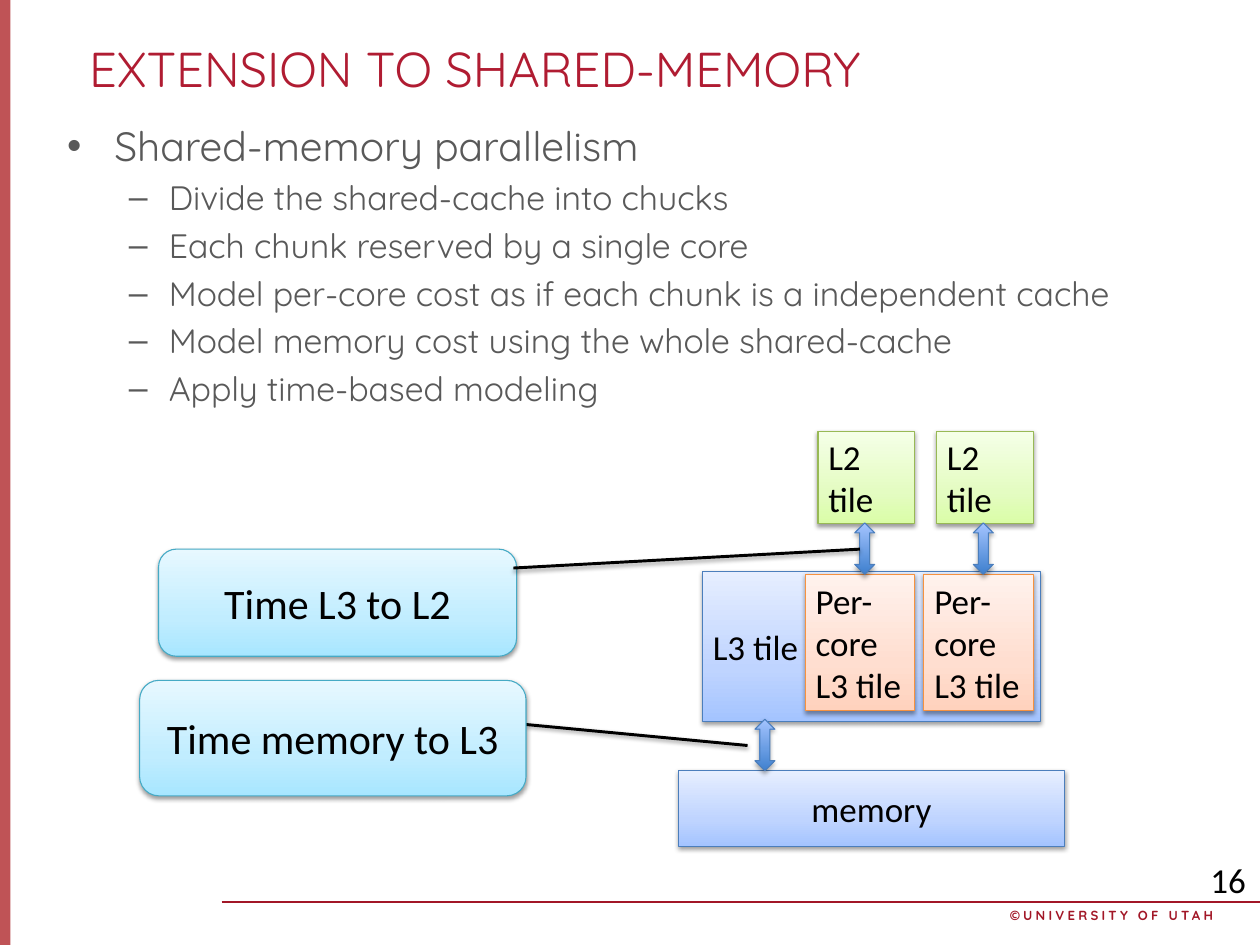
from lxml.etree import SubElement
from pptx import Presentation
from pptx.dml.color import RGBColor
from pptx.enum.shapes import MSO_CONNECTOR, MSO_SHAPE
from pptx.enum.text import MSO_ANCHOR, PP_ALIGN
from pptx.oxml.ns import qn
from pptx.util import Inches, Pt

BLUE = ("4B7EBC", [(0, "A4C4FF"), (35, "BFD4FF"), (100, "E6EEFF")])
ORANGE = ("F69240", [(0, "FFD2BD"), (35, "FFDED0"), (100, "FFF2ED")])
GREEN = ("98B955", [(0, "DAFDA7"), (35, "E4FCC2"), (100, "F5FFE7")])
CYAN = ("46AAC5", [(0, "A7E6FF"), (35, "C1EDFF"), (100, "E7F8FF")])
ARROW = ("4B7EBC", [(0, "3F80CE"), (100, "A4C4FF")])

SUB_POINTS = [
    "Divide the shared-cache into chucks",
    "Each chunk reserved by a single core",
    "Model per-core cost as if each chunk is a independent cache",
    "Model memory cost using the whole shared-cache",
    "Apply time-based modeling",
]


def rgb(value):
    return RGBColor.from_string(value)


def write(p, text, size=24, font="Calibri", color="000000", bold=False,
          align=PP_ALIGN.LEFT, spacing=None):
    p.alignment = align
    r = p.add_run()
    r.text = text
    r.font.size = Pt(size)
    r.font.name = font
    r.font.bold = bold
    r.font.color.rgb = rgb(color)
    if spacing:
        r.font._element.set("spc", str(round(spacing * 100)))


def add_shadow(sp, alpha=38, distance=1.6):
    spPr = sp._element.spPr
    effects = spPr.find(qn("a:effectLst"))
    if effects is None:
        effects = SubElement(spPr, qn("a:effectLst"))
    shadow = SubElement(effects, qn("a:outerShdw"), blurRad=str(Pt(3.1)),
                        dist=str(Pt(distance)), dir="5400000", rotWithShape="0")
    clr = SubElement(shadow, qn("a:srgbClr"), val="000000")
    SubElement(clr, qn("a:alpha"), val=str(alpha * 1000))


class Deck:
    heading = "Quicksand"
    red = "A21727"
    gray = "595959"

    def __init__(self, width, height):
        self.prs = Presentation()
        self.prs.slide_width = Inches(width)
        self.prs.slide_height = Inches(height)
        self.s = self.prs.slides.add_slide(self.prs.slide_layouts[6])

    def text_box(self, x, y, w, h, text="", wrap=True, anchor=MSO_ANCHOR.TOP, **fmt):
        sp = self.s.shapes.add_textbox(*map(Inches, (x, y, w, h)))
        tf = sp.text_frame
        tf.word_wrap = wrap
        tf.vertical_anchor = anchor
        if text:
            write(tf.paragraphs[0], text, **fmt)
        return tf

    def bullet(self, p, text, mark, indent, hanging, size, line, before=0):
        pPr = p._p.get_or_add_pPr()
        pPr.set("marL", str(Inches(indent)))
        pPr.set("indent", str(-Inches(hanging)))
        p.line_spacing = Pt(line)
        p.space_before = Pt(before)
        SubElement(pPr, qn("a:buFont"), typeface="Arial")
        SubElement(pPr, qn("a:buChar"), char=mark)
        write(p, text, size=size, font=self.heading, color=self.gray)

    def bar(self, x, y, w, h, color, opacity):
        sp = self.s.shapes.add_shape(MSO_SHAPE.RECTANGLE, *map(Inches, (x, y, w, h)))
        sp.shadow.inherit = False
        sp.line.fill.background()
        sp.fill.solid()
        sp.fill.fore_color.rgb = rgb(color)
        clr = sp._element.spPr.find(qn("a:solidFill")).find(qn("a:srgbClr"))
        SubElement(clr, qn("a:alpha"), val=str(opacity * 1000))

    def block(self, kind, x, y, w, h, style, text="", shadow=(38, 1.6), **fmt):
        line, stops = style
        sp = self.s.shapes.add_shape(kind, *map(Inches, (x, y, w, h)))
        sp.line.color.rgb = rgb(line)
        sp.line.width = Pt(0.75)
        sp.fill.gradient()
        sp.fill.gradient_angle = 90
        gs_list = sp._element.spPr.find(qn("a:gradFill")).find(qn("a:gsLst"))
        for gs in list(gs_list):
            gs_list.remove(gs)
        for pos, color in stops:
            gs = SubElement(gs_list, qn("a:gs"), pos=str(pos * 1000))
            SubElement(gs, qn("a:srgbClr"), val=color)
        sp.shadow.inherit = False
        add_shadow(sp, *shadow)
        if text:
            tf = sp.text_frame
            tf.word_wrap = True
            tf.vertical_anchor = MSO_ANCHOR.MIDDLE
            write(tf.paragraphs[0], text, **fmt)

    def arrow(self, x, y):
        self.block(MSO_SHAPE.UP_DOWN_ARROW, x, y, 0.19, 0.49, ARROW, shadow=(35, 1.8))

    def line(self, x1, y1, x2, y2, color, width, shadow=False):
        c = self.s.shapes.add_connector(MSO_CONNECTOR.STRAIGHT,
                                        *map(Inches, (x1, y1, x2, y2)))
        c.line.color.rgb = rgb(color)
        c.line.width = Pt(width)
        SubElement(c._element.spPr, qn("a:effectLst"))
        if shadow:
            add_shadow(c)


def main():
    deck = Deck(12, 9)
    rect, rounded = MSO_SHAPE.RECTANGLE, MSO_SHAPE.ROUNDED_RECTANGLE
    center = PP_ALIGN.CENTER

    deck.bar(0, 0, 0.1, 9, "AF282C", 80)
    deck.line(2.11, 8.59, 12, 8.59, deck.red, 1)
    deck.text_box(8.58, 8.59, 3.07, 0.25, "©UNIVERSITY OF UTAH", size=9,
                  font=deck.heading, color=deck.red, bold=True,
                  align=PP_ALIGN.RIGHT, spacing=2.2)
    deck.text_box(11.43, 8.13, 0.6, 0.5, "16", wrap=False)
    deck.text_box(0.75, 0.29, 10.49, 0.72, "EXTENSION TO SHARED-MEMORY",
                  anchor=MSO_ANCHOR.MIDDLE, size=33.6, font=deck.heading,
                  color="B01C32")

    tf = deck.text_box(0.54, 1.11, 10.13, 6.47)
    deck.bullet(tf.paragraphs[0], "Shared-memory parallelism", "•", 0.45, 0.45,
                size=28, line=33)
    for text in SUB_POINTS:
        deck.bullet(tf.add_paragraph(), text, "–", 0.97, 0.38,
                    size=23.2, line=27.4, before=5.3)

    deck.block(rect, 6.69, 5.44, 3.22, 1.43, BLUE, "L3 tile")
    for core in range(2):
        shift = core * 1.13
        deck.block(rect, 7.67 + shift, 5.47, 1.04, 1.3, ORANGE, "Per-core L3 tile")
        deck.block(rect, 7.79 + shift, 4.11, 0.92, 0.88, GREEN, "L2 tile")
        deck.arrow(8.14 + shift, 4.98)
    deck.block(rect, 6.46, 7.34, 3.68, 0.72, BLUE, "memory", align=center)
    deck.arrow(7.19, 6.85)

    deck.block(rounded, 1.51, 5.23, 3.41, 1.02, CYAN, "Time L3 to L2",
               size=28.8, align=center)
    deck.line(4.89, 5.41, 8.19, 5.23, "000000", 2, shadow=True)
    deck.line(5.01, 6.9, 7.12, 7.1, "000000", 2, shadow=True)
    deck.block(rounded, 1.33, 6.48, 3.68, 1.1, CYAN, "Time memory to L3",
               size=28.8, align=center)

    deck.prs.save("out.pptx")


if __name__ == "__main__":
    main()
